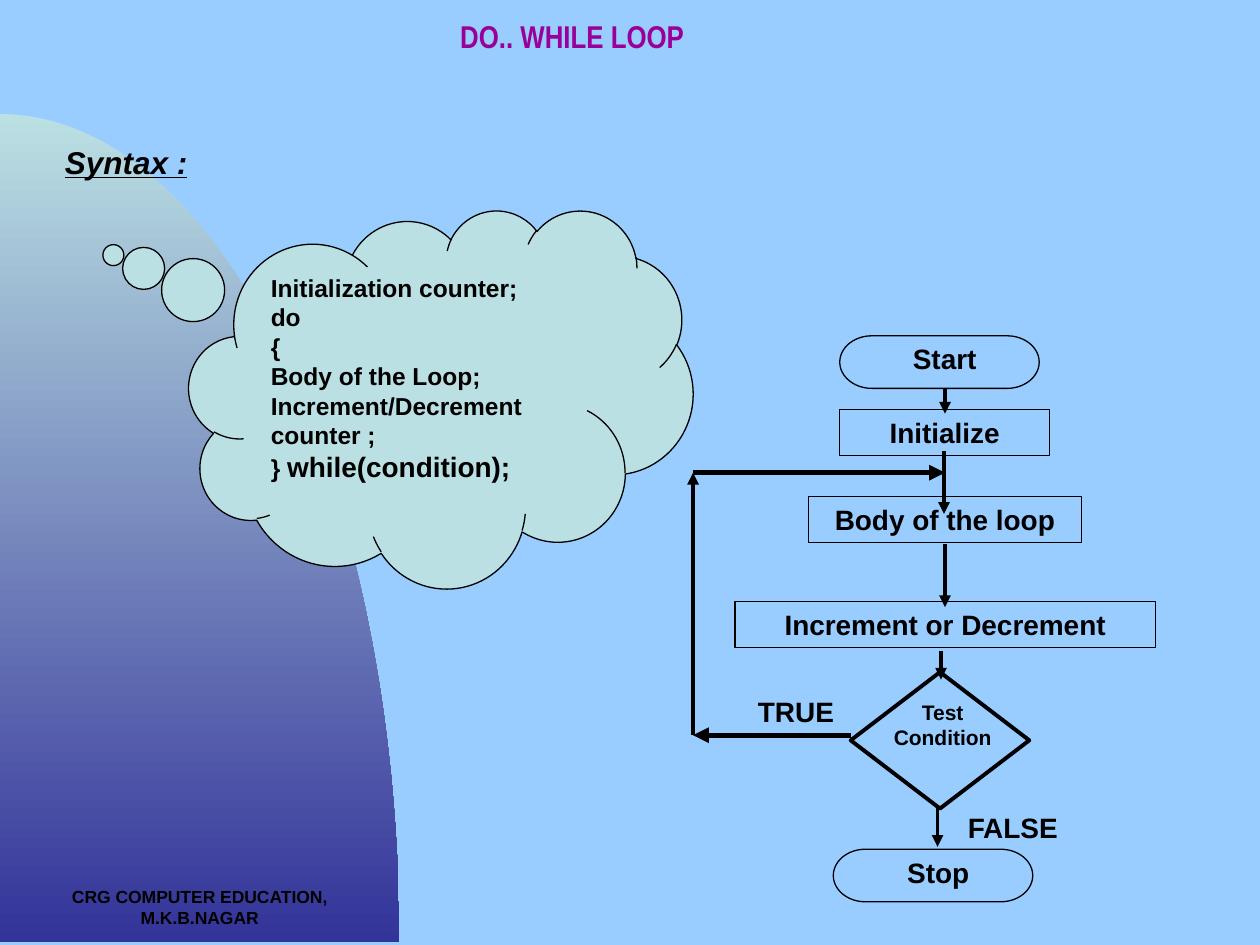
from dataclasses import dataclass
from math import cos, pi, sin

from lxml.etree import SubElement
from pptx import Presentation
from pptx.dml.color import RGBColor
from pptx.enum.shapes import MSO_CONNECTOR, MSO_SHAPE
from pptx.enum.text import MSO_ANCHOR, PP_ALIGN
from pptx.oxml.ns import qn
from pptx.shapes.autoshape import Shape
from pptx.slide import Slide
from pptx.util import Cm, Pt

BLACK = RGBColor(0x00, 0x00, 0x00)
SKY = RGBColor(0x99, 0xCC, 0xFF)
MIST = RGBColor(0xBB, 0xE0, 0xE3)
INDIGO = RGBColor(0x33, 0x33, 0x99)
PURPLE = RGBColor(0x99, 0x00, 0x99)


@dataclass(frozen=True)
class Box:
    """Position and size in centimetres."""
    left: float
    top: float
    width: float
    height: float = 0.93

    def lengths(self) -> tuple[Cm, Cm, Cm, Cm]:
        return Cm(self.left), Cm(self.top), Cm(self.width), Cm(self.height)


@dataclass(frozen=True)
class Outline:
    kind: MSO_SHAPE
    box: Box
    line_width: float = 0.75
    text: str = ""


@dataclass(frozen=True)
class Label:
    text: str
    box: Box
    size: float = 16
    alignment: PP_ALIGN = PP_ALIGN.CENTER
    slanted: bool = False


@dataclass(frozen=True)
class Arrow:
    start: tuple[float, float]
    end: tuple[float, float]
    width: float = 2.25


LOOP_LEFT, LOOP_TOP, LOOP_BOTTOM = 13.97, 9.53, 14.82
CODE = ("Initialization counter;\ndo\n{\nBody of the Loop;\n"
        "Increment/Decrement counter ;\n} ")

OUTLINES = [
    Outline(MSO_SHAPE.FLOWCHART_TERMINATOR, Box(16.93, 6.77, 4.02, 1.06)),
    Outline(MSO_SHAPE.RECTANGLE, Box(16.93, 8.26, 4.23), text="Initialize"),
    Outline(MSO_SHAPE.RECTANGLE, Box(16.3, 10.01, 5.5), text="Body of the loop"),
    Outline(MSO_SHAPE.RECTANGLE, Box(14.82, 12.12, 8.47), text="Increment or Decrement"),
    Outline(MSO_SHAPE.DIAMOND, Box(17.15, 13.55, 3.6, 2.75), line_width=2.25),
    Outline(MSO_SHAPE.FLOWCHART_TERMINATOR, Box(16.8, 17.12, 4.02, 1.06)),
]
LABELS = [
    Label("CRG COMPUTER EDUCATION, M.K.B.NAGAR", Box(0, 17.73, 8.05, 1.32), 10),
    Label("Syntax :", Box(1.06, 2.75, 4.45, 1.02), 18, PP_ALIGN.LEFT, slanted=True),
    Label("Start", Box(16.93, 6.77, 4.23)),
    Label("Test Condition", Box(17.63, 13.97, 2.75, 1.27), 12),
    Label("TRUE", Box(15.03, 13.87, 2.75), alignment=PP_ALIGN.LEFT),
    Label("FALSE", Box(19.26, 16.21, 2.75), alignment=PP_ALIGN.LEFT),
    Label("Stop", Box(16.8, 17.12, 4.23)),
]
ARROWS = [
    Arrow((19.05, 7.83), (19.05, 8.34)),
    Arrow((19.03, 9.09), (19.03, 10.36)),
    Arrow((19.05, 10.97), (19.05, 12.24)),
    Arrow((18.97, 13.13), (18.97, 13.7)),
    Arrow((18.9, 16.23), (18.9, 17.07)),
    Arrow((17.15, LOOP_BOTTOM), (LOOP_LEFT, LOOP_BOTTOM), 3),
    Arrow((LOOP_LEFT, LOOP_BOTTOM), (LOOP_LEFT, LOOP_TOP)),
    Arrow((LOOP_LEFT, LOOP_TOP), (19.05, LOOP_TOP), 3),
]


def write(shape: Shape, text: str, size: float, alignment: PP_ALIGN = PP_ALIGN.CENTER,
          color: RGBColor = BLACK, font_name: str = "Arial") -> None:
    text_frame = shape.text_frame
    text_frame.text = text
    text_frame.word_wrap = True
    text_frame.vertical_anchor = MSO_ANCHOR.TOP
    for paragraph in text_frame.paragraphs:
        paragraph.alignment = alignment
        for run in paragraph.runs:
            run.font.name = font_name
            run.font.size = Pt(size)
            run.font.bold = True
            run.font.color.rgb = color


def add_quarter_ellipse(slide: Slide) -> None:
    radius_x, radius_y, base, steps = 8.05, 16.7, 19.0, 90
    angles = [pi / 2 * step / steps for step in range(steps + 1)]
    arc = [(Cm(radius_x * sin(angle)), Cm(base - radius_y * cos(angle))) for angle in angles]
    builder = slide.shapes.build_freeform(0, Cm(base), scale=1.0)
    builder.add_line_segments(arc, close=True)
    shape = builder.convert_to_shape()
    shape.shadow.inherit = False
    shape.line.fill.background()
    shape.fill.gradient()
    shape.fill.gradient_angle = 270
    for stop, color in zip(shape.fill.gradient_stops, (MIST, INDIGO)):
        stop.color.rgb = color


def add_title(slide: Slide) -> None:
    title = slide.shapes.title
    title.left, title.top, title.width, title.height = Box(5.5, 0.21, 12.07, 2.75).lengths()
    write(title, "DO.. WHILE LOOP", 18, color=PURPLE, font_name="Arial Narrow")


def add_outline(slide: Slide, outline: Outline) -> Shape:
    shape = slide.shapes.add_shape(outline.kind, *outline.box.lengths())
    shape.shadow.inherit = False
    shape.fill.background()
    shape.line.color.rgb = BLACK
    shape.line.width = Pt(outline.line_width)
    if outline.text:
        write(shape, outline.text, 16)
    return shape


def add_code_cloud(slide: Slide) -> None:
    cloud = add_outline(slide, Outline(MSO_SHAPE.CLOUD_CALLOUT, Box(3.81, 4.23, 10.16, 7.62)))
    cloud.adjustments[0], cloud.adjustments[1] = -0.65, -0.38
    cloud.fill.solid()
    cloud.fill.fore_color.rgb = MIST
    write(cloud, CODE, 14, PP_ALIGN.LEFT)
    condition = cloud.text_frame.paragraphs[-1].add_run()
    condition.text = "while(condition);"
    condition.font.name = "Arial"
    condition.font.size = Pt(16)
    condition.font.bold = True
    condition.font.color.rgb = BLACK


def add_label(slide: Slide, label: Label) -> None:
    text_box = slide.shapes.add_textbox(*label.box.lengths())
    write(text_box, label.text, label.size, label.alignment)
    if label.slanted:
        font = text_box.text_frame.paragraphs[0].runs[0].font
        font.italic = font.underline = True


def add_arrow(slide: Slide, arrow: Arrow) -> None:
    points = [Cm(value) for value in arrow.start + arrow.end]
    connector = slide.shapes.add_connector(MSO_CONNECTOR.STRAIGHT, *points)
    connector.line.color.rgb = BLACK
    connector.line.width = Pt(arrow.width)
    properties = connector.line._get_or_add_ln()
    SubElement(properties, qn("a:tailEnd"), type="triangle")
    SubElement(connector._element.spPr, qn("a:effectLst"))


def main() -> None:
    presentation = Presentation()
    presentation.slide_width, presentation.slide_height = Cm(25.4), Cm(19.05)
    slide = presentation.slides.add_slide(presentation.slide_layouts[5])
    slide.background.fill.solid()
    slide.background.fill.fore_color.rgb = SKY
    add_quarter_ellipse(slide)
    add_title(slide)
    add_code_cloud(slide)
    for outline in OUTLINES:
        add_outline(slide, outline)
    for label in LABELS:
        add_label(slide, label)
    for arrow in ARROWS:
        add_arrow(slide, arrow)
    presentation.save("out.pptx")


if __name__ == "__main__":
    main()
